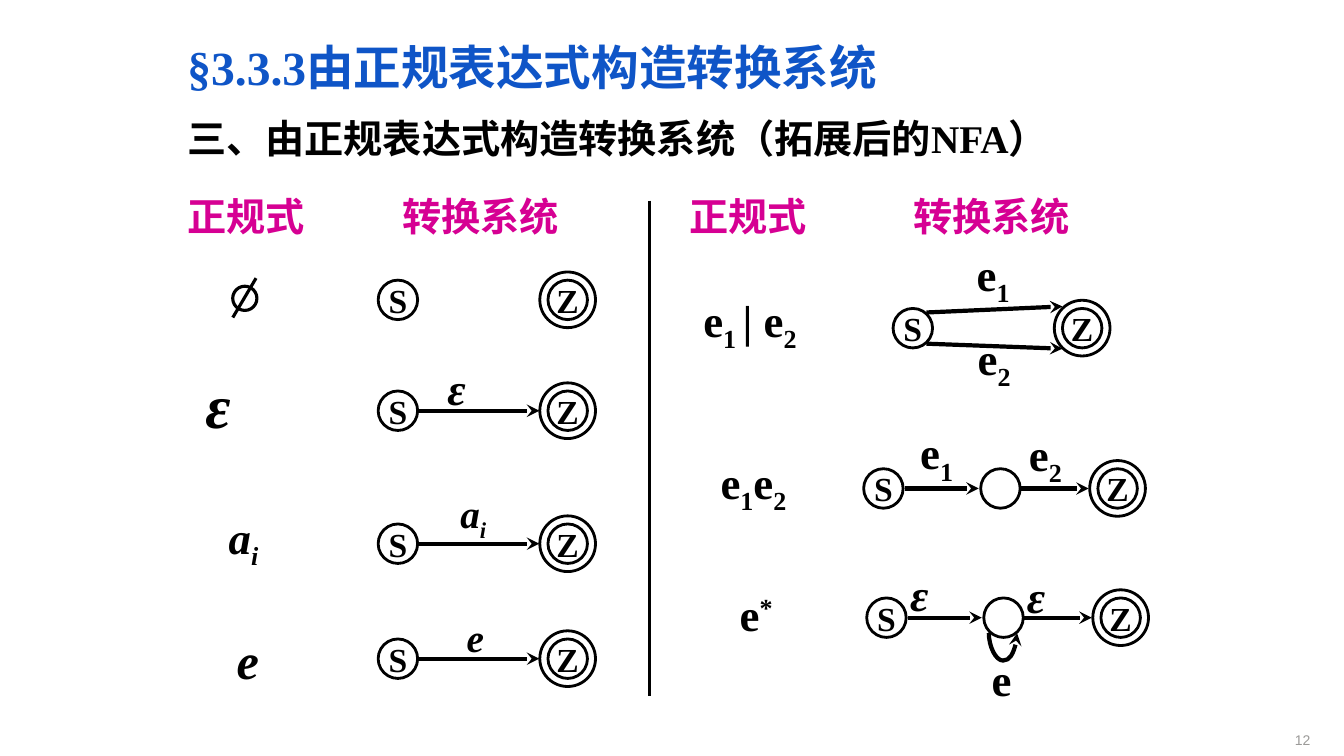
from lxml.etree import SubElement
from pptx import Presentation
from pptx.dml.color import RGBColor
from pptx.enum.shapes import MSO_CONNECTOR, MSO_SHAPE
from pptx.enum.text import MSO_ANCHOR, MSO_AUTO_SIZE, PP_ALIGN
from pptx.oxml.ns import qn
from pptx.util import Pt

BLACK, BLUE, MAGENTA, GREY = "000000", "0F55C7", "D60093", "9B9A98"
SERIF, SANS = "Times New Roman", "Arial"
STATE_SIZE, FINAL_SIZE = 28.2, 39.8

# Runs of a label: text and baseline shift in percent
E1 = [("e", 0), ("1", -25)]
E2 = [("e", 0), ("2", -25)]
AI = [("a", 0), ("i", -25)]
E = [("e", 0)]
EPSILON = [("ε", 0)]


def color(value):
    return RGBColor.from_string(value)


def format_font(paragraph, size, fill=BLACK, name=SERIF, bold=True, italic=False):
    font = paragraph.font
    font.size, font.name, font.bold, font.italic = Pt(size), name, bold, italic
    font.color.rgb = color(fill)


def add_label(shapes, left, top, width, runs, size=32, italic=False,
              fill=BLACK, name=SERIF, wrap=True):
    box = shapes.add_textbox(Pt(left), Pt(top), Pt(width), Pt(size * 1.15 + 8))
    frame = box.text_frame
    frame.word_wrap = wrap
    frame.auto_size = MSO_AUTO_SIZE.SHAPE_TO_FIT_TEXT
    paragraph = frame.paragraphs[0]
    format_font(paragraph, size, fill, name, italic=italic)
    for text, baseline in runs:
        run = paragraph.add_run()
        run.text = text
        if baseline:
            run.font._element.set("baseline", str(baseline * 1000))


def add_circle(shapes, x, y, size=STATE_SIZE, text="", weight=2):
    """Unfilled circle centred on (x, y)."""
    circle = shapes.add_shape(MSO_SHAPE.OVAL, Pt(x - size / 2), Pt(y - size / 2),
                              Pt(size), Pt(size))
    circle.shadow.inherit = False
    circle.fill.background()
    circle.line.color.rgb = color(BLACK)
    circle.line.width = Pt(weight)
    if text:
        frame = circle.text_frame
        frame.word_wrap = False
        frame.vertical_anchor = MSO_ANCHOR.MIDDLE
        paragraph = frame.paragraphs[0]
        paragraph.text = text
        paragraph.alignment = PP_ALIGN.CENTER
        format_font(paragraph, 24)


def add_final_state(shapes, x, y):
    group = shapes.add_group_shape()
    add_circle(group.shapes, x, y, FINAL_SIZE)
    add_circle(group.shapes, x, y, text="Z")


def add_line(shapes, start, end, weight=3, arrow=True, kind=MSO_CONNECTOR.STRAIGHT):
    line = shapes.add_connector(kind, *(Pt(value) for value in (*start, *end)))
    line.line.color.rgb = color(BLACK)
    line.line.width = Pt(weight)
    properties = line._element.spPr
    if arrow:
        SubElement(properties.find(qn("a:ln")), qn("a:tailEnd"), type="stealth")
    SubElement(properties, qn("a:effectLst"))
    return line


def add_loop(shapes, x, y, width=20.2, depth=20.9):
    """Curved arrow that leaves and re-enters a state, hanging below (x, y)."""
    thickness = 0.12
    loop = add_line(shapes, (x + thickness / 2, y - width / 2),
                    (x - thickness / 2, y + width / 2), kind=MSO_CONNECTOR.CURVE)
    properties = loop._element.spPr
    properties.find(qn("a:xfrm")).set("rot", "16200000")
    geometry = properties.find(qn("a:prstGeom"))
    adjustments = geometry.find(qn("a:avLst"))
    if adjustments is None:
        adjustments = SubElement(geometry, qn("a:avLst"))
    ratio = round(depth / thickness * 100000)
    SubElement(adjustments, qn("a:gd"), name="adj1", fmla=f"val {ratio}")


def add_headings(shapes, expression_left, system_left, top=133.9):
    for left, width, text in ((expression_left, 110, "正规式"), (system_left, 153, "转换系统")):
        add_label(shapes, left, top, width, [(text, 0)], 28, fill=MAGENTA, name=SANS)


def add_empty_set(shapes, left, top):
    group = shapes.add_group_shape()
    add_circle(group.shapes, left + 8.6, top + 14.4, 17.3, weight=2.25)
    add_line(group.shapes, (left + 16.6, top), (left, top + 28.1), 2.25, arrow=False)


def add_simple_system(shapes, x, y, linked=True):
    add_circle(shapes, x, y, text="S")
    add_final_state(shapes, x + 121.3, y)
    if linked:
        add_line(shapes, (x + 15.3, y), (x + 101, y))


def add_chain_system(shapes, x, y):
    """Start, middle and final state on one row, starting at centre (x, y)."""
    add_circle(shapes, x, y, text="S")
    add_circle(shapes, x + 83.6, y)
    add_final_state(shapes, x + 167.3, y)
    for start, end in ((15.5, 68.1), (98.3, 146.6)):
        add_line(shapes, (x + start, y), (x + end, y))


def add_basic_expressions(shapes, left):
    add_headings(shapes, left, left + 153.4)
    add_empty_set(shapes, left + 39.6, 198.7)
    for y, linked in ((214.2, False), (293.4, True), (388.4, True), (470.5, True)):
        add_simple_system(shapes, left + 157.5, y, linked)
    labels = (
        (13, 258.5, EPSILON, 44), (185.8, 254.2, EPSILON, 32),
        (29.5, 360.7, AI, 32), (195.1, 346.3, AI, 28),
        (35.3, 445.7, E, 36), (199.5, 434.2, E, 28),
    )
    for x, top, runs, size in labels:
        add_label(shapes, left + x, top, 51, runs, size, italic=True)


def add_alternation(shapes, left, y):
    add_label(shapes, left + 10, y - 29.2, 86, [("e", 0), ("1 ", -25), ("| e", 0), ("2", -25)])
    x = left + 166.7
    add_circle(shapes, x, y, text="S")
    add_final_state(shapes, x + 121, y)
    add_line(shapes, (x + 9.7, y - 11.2), (x + 106.9, y - 15.5))
    add_line(shapes, (x + 9.7, y + 11.1), (x + 106.9, y + 14.7))
    add_label(shapes, x + 38.5, y - 61.6, 39.6, E1, wrap=False)
    add_label(shapes, x + 39.2, y - 1.8, 39.6, E2, wrap=False)


def add_concatenation(shapes, left, y):
    add_label(shapes, left + 22.3, y - 27.8, 73.4, E1 + E2)
    x = left + 145.7
    add_chain_system(shapes, x, y)
    add_label(shapes, x + 19.2, y - 48.7, 39.6, E1, wrap=False)
    add_label(shapes, x + 96.9, y - 47.9, 39.6, E2, wrap=False)


def add_closure(shapes, left, y):
    add_label(shapes, left + 36, y - 25.8, 46, E + [("*", 30)])
    x = left + 147.9
    add_chain_system(shapes, x, y)
    add_loop(shapes, x + 83.2, y + 11)
    add_label(shapes, x + 68.1, y + 21, 33.1, E)
    add_label(shapes, x + 9.8, y - 40.2, 51, EPSILON, italic=True)
    add_label(shapes, x + 93.3, y - 38.8, 51, EPSILON, italic=True)


def add_compound_expressions(shapes, left):
    add_headings(shapes, left, left + 159.8)
    add_alternation(shapes, left, 234.4)
    add_concatenation(shapes, left, 348.9)
    add_closure(shapes, left, 441.2)


def format_heading(shape, text, size, fill):
    frame = shape.text_frame
    frame.word_wrap = True
    frame.auto_size = MSO_AUTO_SIZE.NONE
    frame.vertical_anchor = MSO_ANCHOR.TOP
    paragraph = frame.paragraphs[0]
    paragraph.text = text
    paragraph.alignment = PP_ALIGN.LEFT
    paragraph.line_spacing = 1.2
    format_font(paragraph, size, fill)


def add_title(slide, left, top, width):
    title = slide.shapes.title
    title.left, title.top, title.width, title.height = Pt(left), Pt(top), Pt(width), Pt(62)
    format_heading(title, "§3.3.3由正规表达式构造转换系统", 34, BLUE)
    subtitle = slide.shapes.add_textbox(Pt(left), Pt(top + 56.2), Pt(width), Pt(116.6))
    format_heading(subtitle, "三、由正规表达式构造转换系统（拓展后的NFA）", 28, BLACK)


def add_page_number(shapes, left, top, width, height):
    box = shapes.add_textbox(Pt(left), Pt(top), Pt(width), Pt(height))
    frame = box.text_frame
    frame.margin_left = frame.margin_right = frame.margin_top = frame.margin_bottom = 0
    frame.vertical_anchor = MSO_ANCHOR.BOTTOM
    paragraph = frame.paragraphs[0]
    paragraph.text = "12"
    paragraph.alignment = PP_ALIGN.RIGHT
    format_font(paragraph, 10, GREY, SANS, bold=False)


def main():
    presentation = Presentation()
    presentation.slide_width, presentation.slide_height = Pt(960), Pt(540)
    slide = presentation.slides.add_slide(presentation.slide_layouts[5])
    add_title(slide, 126.7, 15.1, 696.2)
    add_basic_expressions(slide.shapes, 126.7)
    add_line(slide.shapes, (463.7, 143.3), (463.7, 497.5), 2, arrow=False)
    add_compound_expressions(slide.shapes, 485.3)
    add_page_number(slide.shapes, 856, 505.4, 80, 28.8)
    presentation.save("out.pptx")


if __name__ == "__main__":
    main()
